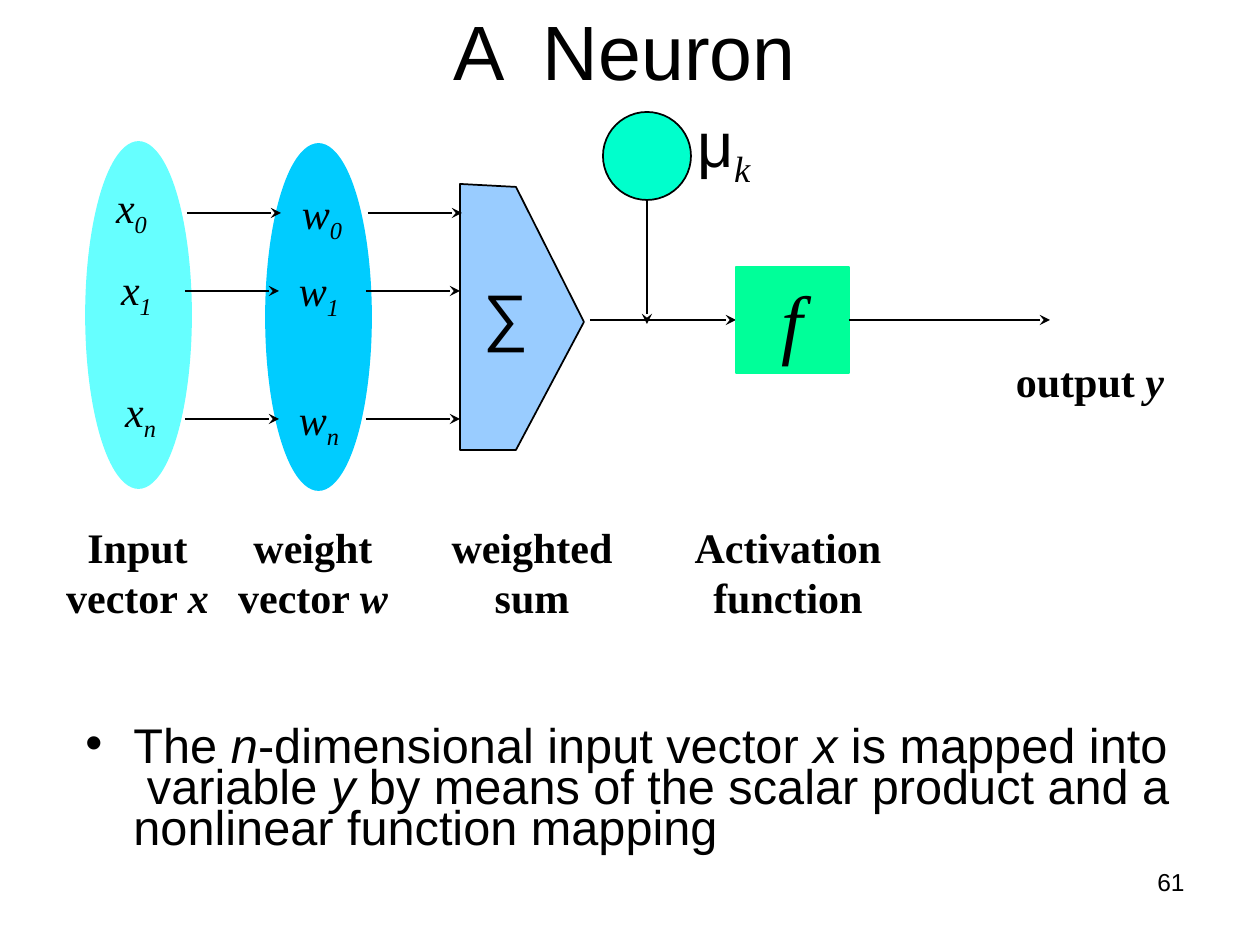
from lxml.etree import SubElement
from pptx import Presentation
from pptx.dml.color import RGBColor
from pptx.enum.shapes import MSO_CONNECTOR as Link, MSO_SHAPE as Preset
from pptx.enum.text import MSO_ANCHOR as Anchor, PP_ALIGN as Align
from pptx.oxml.ns import qn
from pptx.util import Emu, Pt

SCALE = 914400 / 126
BLACK = RGBColor(0, 0, 0)
INPUT_CYAN = RGBColor(0x66, 0xFF, 0xFF)
WEIGHT_BLUE = RGBColor(0x00, 0xCC, 0xFF)
SUM_BLUE = RGBColor(0x99, 0xCC, 0xFF)
BIAS_TEAL = RGBColor(0x00, 0xFF, 0xCC)
ACTIVATION_GREEN = RGBColor(0x00, 0xFF, 0x99)
SANS, SERIF = "Arial", "Times New Roman"


def px(*lengths):
    return [Emu(round(length * SCALE)) for length in lengths]


def write(holder, *paragraphs, size=24, font=SERIF, bold=False, align=Align.CENTER,
          anchor=Anchor.TOP, wrap=False):
    """Fill a holder with paragraphs of (text, style) runs; i is italic, s is subscript."""
    frame = holder.text_frame
    frame.word_wrap, frame.vertical_anchor = wrap, anchor
    for number, runs in enumerate(paragraphs):
        paragraph = frame.add_paragraph() if number else frame.paragraphs[0]
        paragraph.alignment = align
        for words, style in runs:
            run = paragraph.add_run()
            run.text = words
            run.font.size, run.font.bold = Pt(size), bold
            run.font.name = SERIF if "s" in style else font
            run.font.italic = "i" in style
            run.font.color.rgb = BLACK
            if "s" in style:
                run.font._element.set("baseline", "-25000")
    return frame


def add_text(slide, box, *paragraphs, **style):
    return write(slide.shapes.add_textbox(*px(*box)), *paragraphs, **style)


def paint(shape, fill, line):
    shape.shadow.inherit = False
    shape.fill.solid()
    shape.fill.fore_color.rgb = fill
    shape.line.color.rgb = line
    shape.line.width = Pt(1)
    return shape


def add_block(slide, preset, box, fill, line):
    return paint(slide.shapes.add_shape(preset, *px(*box)), fill, line)


def add_arrow(slide, start, end):
    arrow = slide.shapes.add_connector(Link.STRAIGHT, *px(*start, *end))
    arrow.line.color.rgb = BLACK
    arrow.line.width = Pt(1)
    SubElement(arrow.line._get_or_add_ln(), qn("a:tailEnd"), type="stealth")
    SubElement(arrow._element.spPr, qn("a:effectLst"))
    return arrow


def add_summation(slide):
    outline = slide.shapes.build_freeform(460, 184, scale=SCALE)
    outline.add_line_segments([(460, 450), (516, 450), (584, 322), (516, 187)])
    paint(outline.convert_to_shape(), SUM_BLUE, BLACK)
    add_text(slide, (471, 270, 69, 88), [("∑", "")], size=36, font=SANS)


def add_vectors(slide):
    add_block(slide, Preset.OVAL, (266, 144, 105, 346), WEIGHT_BLUE, WEIGHT_BLUE)
    add_block(slide, Preset.OVAL, (86, 142, 105, 346), INPUT_CYAN, INPUT_CYAN)


def add_component(slide, index, y, input_at, weight_at, shift):
    """Draw one row of the vectors: input, weight and the arrows after them."""
    for left in (185, 366):
        add_arrow(slide, (left + shift, y), (left + shift + 94, y))
    for letter, corner, width in (("x", input_at, 57), ("w", weight_at, 66)):
        add_text(slide, (*corner, width, 71), [(letter, "i"), (index, "is")])


def add_bias(slide):
    add_block(slide, Preset.OVAL, (603, 112, 88, 88), BIAS_TEAL, BLACK)
    add_arrow(slide, (647, 200), (647, 324))
    add_text(slide, (685, 98, 78, 98), [("μ", ""), ("k", "is")], size=36, font=SANS)


def add_activation(slide):
    to_activation = add_arrow(slide, (590, 320), (736, 320))
    activation = add_block(slide, Preset.RECTANGLE, (736, 267, 113, 106),
                           ACTIVATION_GREEN, ACTIVATION_GREEN)
    write(activation, [("f", "i")], size=44, wrap=True)
    to_output = add_arrow(slide, (849, 320), (1050, 320))
    to_activation.end_connect(activation, 1)
    to_output.begin_connect(activation, 3)


def add_captions(slide):
    captions = (
        (53, 169, [("Input", "")], [("vector ", ""), ("x", "i")]),
        (225, 176, [("weight", "")], [("vector ", ""), ("w", "i")]),
        (434, 196, [("weighted ", "")], [("sum", "")]),
        (682, 212, [("Activation", "")], [("function", "")]),
    )
    for left, width, *lines in captions:
        add_text(slide, (left, 515, width, 113), *lines, bold=True)
    add_text(slide, (1003, 349, 174, 63), [("output ", ""), ("y", "i")], bold=True)


def add_explanation(slide):
    frame = add_text(
        slide, (73, 725, 1113, 147),
        [("The ", ""), ("n", "i"), ("-dimensional input vector ", ""), ("x", "i"),
         (" is mapped into  variable ", ""), ("y", "i"),
         (" by means of the scalar product and a nonlinear function mapping", "")],
        size=27.8, font=SANS, align=Align.LEFT, wrap=True)
    paragraph = frame.paragraphs[0]
    paragraph.line_spacing = 0.7
    paragraph.space_before = Pt(7.5)
    properties = paragraph._p.get_or_add_pPr()
    indent = px(48)[0]
    properties.set("marL", str(indent))
    properties.set("indent", str(-indent))
    SubElement(properties, qn("a:buFont"), typeface=SANS)
    SubElement(properties, qn("a:buChar"), char="•")


def main():
    deck = Presentation()
    deck.slide_width, deck.slide_height = px(1260, 945)
    slide = deck.slides.add_slide(deck.slide_layouts[5])
    title = slide.shapes.title
    title.left, title.top, title.width, title.height = px(252, 21, 745, 81)
    write(title, [("A  Neuron", "")], size=44, font=SANS, anchor=Anchor.BOTTOM, wrap=True)
    add_vectors(slide)
    add_summation(slide)
    add_component(slide, "0", 213, (103, 175), (289, 181), 2)
    add_component(slide, "1", 291, (108, 257), (286, 258), 0)
    add_component(slide, "n", 419, (112, 379), (286, 387), 0)
    add_bias(slide)
    add_activation(slide)
    add_captions(slide)
    add_explanation(slide)
    add_text(slide, (903, 861, 294, 66), [("61", "")], size=14, font=SANS,
             align=Align.RIGHT, wrap=True)
    deck.save("out.pptx")


if __name__ == "__main__":
    main()
